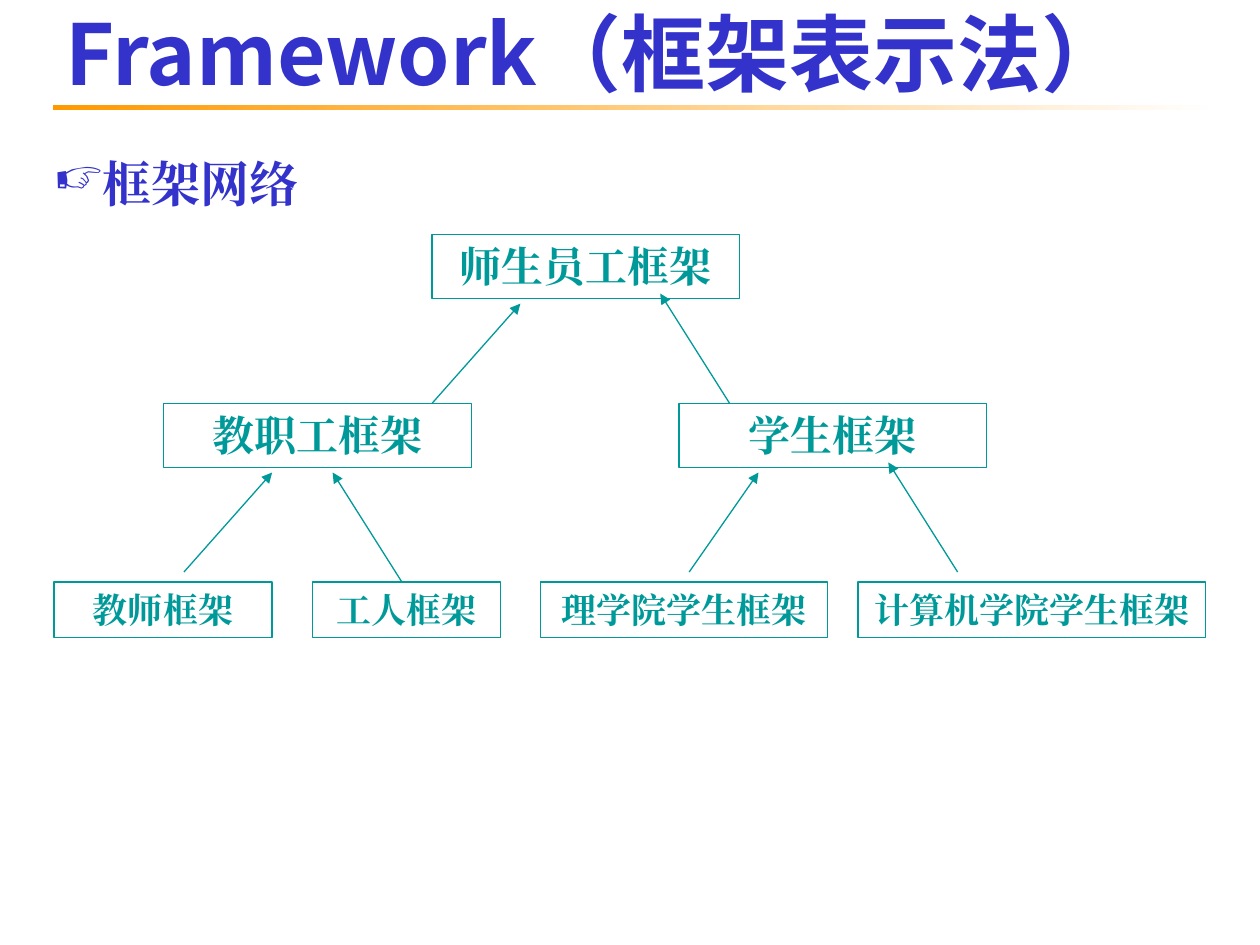
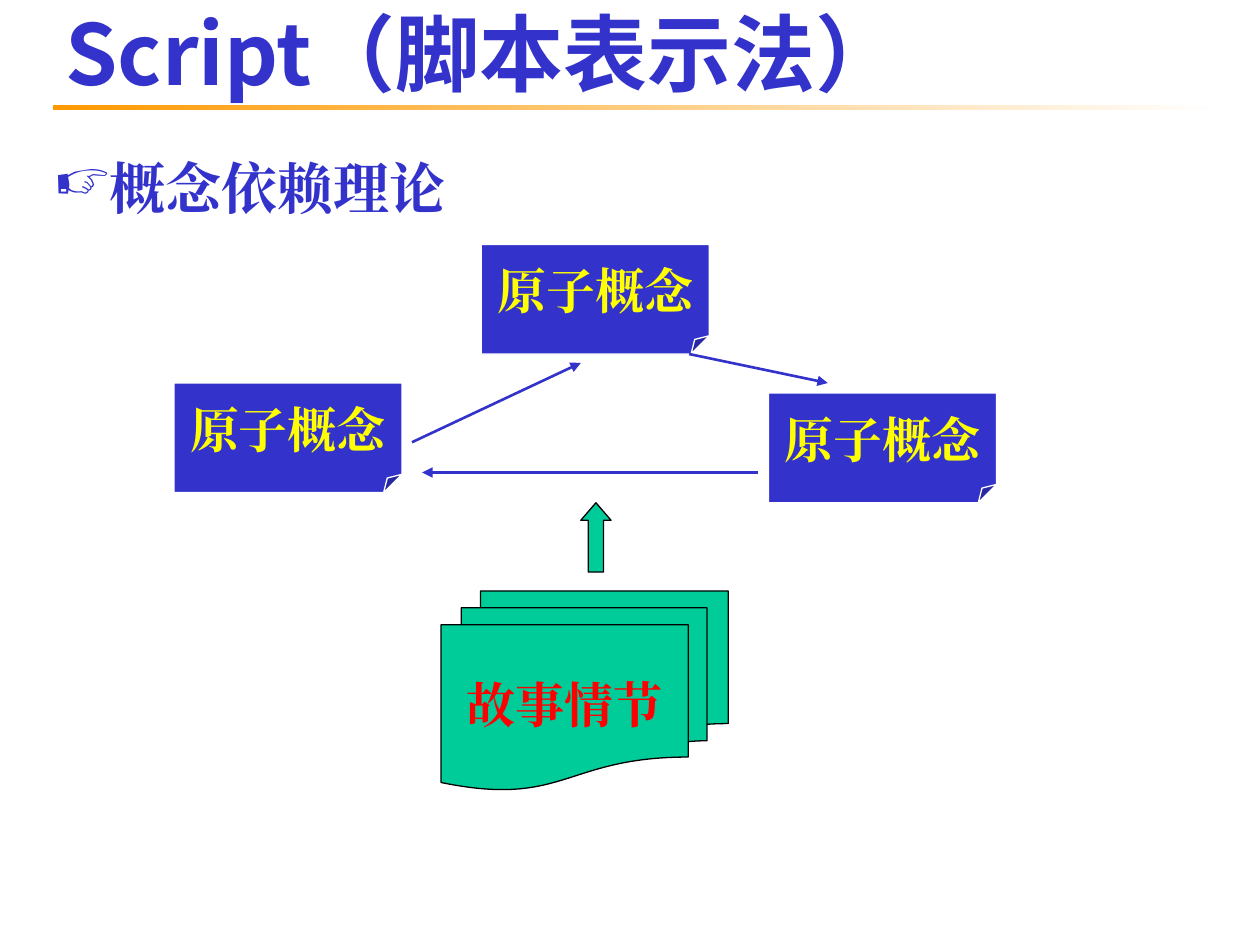
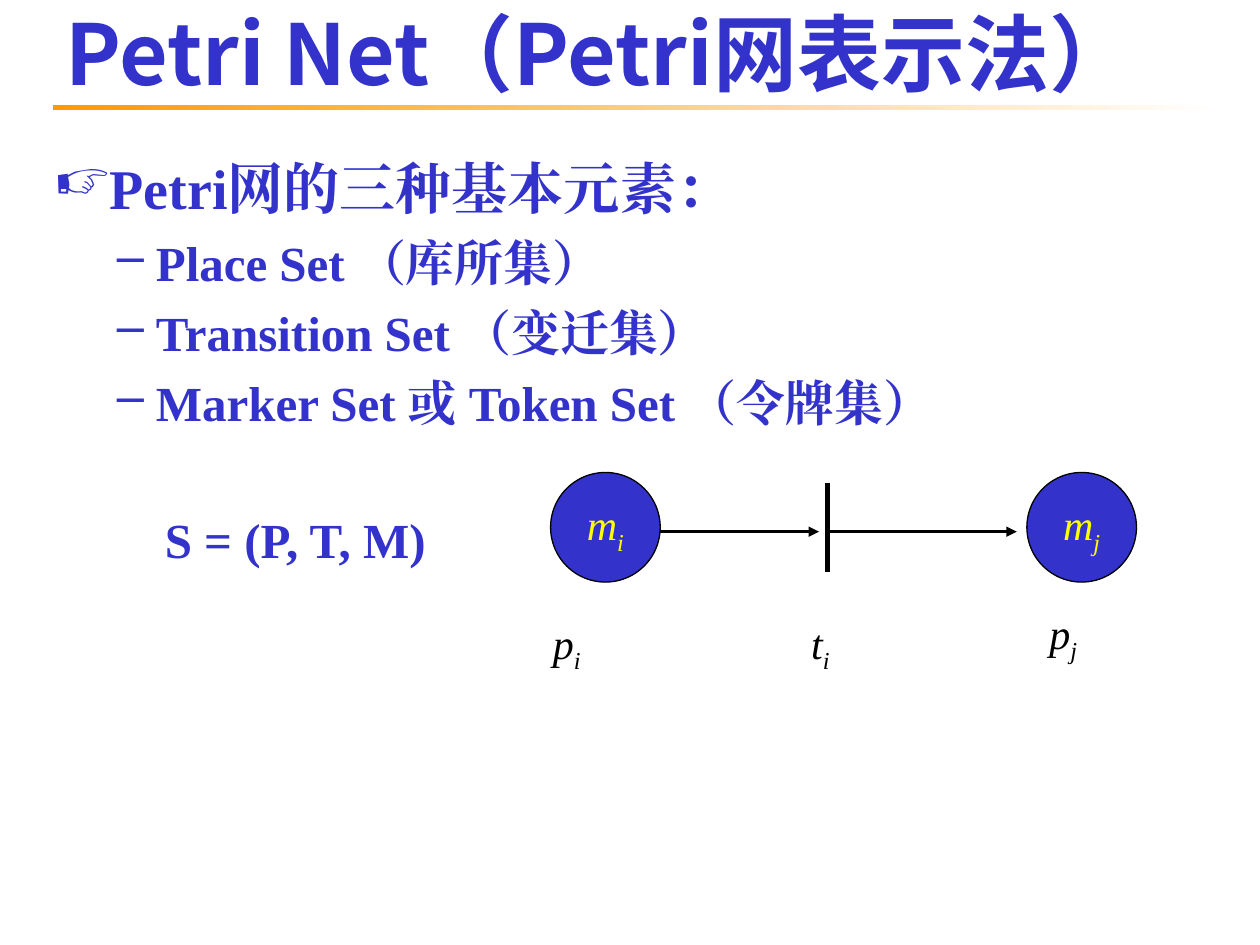
import pptx
import pptx.util
import pptx.dml.color
import pptx.enum.shapes
import pptx.enum.text
import pptx.oxml.ns
import lxml.etree

SCALE = 9144
HUES = {"blue": "3333CC", "teal": "009999", "green": "00CC99", "gold": "FF9900",
        "white": "FFFFFF", "black": "000000", "red": "FF0000", "yellow": "FFFF00"}
SERIF = "Times New Roman"
SANS = "Noto Sans CJK SC"
SHAPE = pptx.enum.shapes.MSO_SHAPE
ALIGN = pptx.enum.text.PP_ALIGN
ANCHOR = pptx.enum.text.MSO_ANCHOR


def px(*sizes):
    return [pptx.util.Emu(size * SCALE) for size in sizes]


def hue(name):
    return pptx.dml.color.RGBColor.from_string(HUES[name])


def child(node, tag, **attrs):
    return lxml.etree.SubElement(node, pptx.oxml.ns.qn(tag), **attrs)


class Deck:
    """Hold the shared style and the current slide."""

    def __init__(self):
        self.file = pptx.Presentation()
        self.file.slide_width, self.file.slide_height = px(1000, 750)
        self.slide = None

    def start(self, title):
        self.slide = self.file.slides.add_slide(self.file.slide_layouts[5])
        band = self.shape(SHAPE.RECTANGLE, (42, 83, 925, 4))
        band.fill.gradient()
        band.fill.gradient_angle = 0
        for stop, name in zip(band.fill.gradient_stops, ("gold", "white")):
            stop.color.rgb = hue(name)
        head = self.slide.shapes.title
        head.left, head.top, head.width, head.height = px(42, 0, 958, 83)
        frame = self.frame(head, ANCHOR.MIDDLE)
        self.text(frame.paragraphs[0], [title], 48, "blue", font=SANS)

    def frame(self, shape, anchor=ANCHOR.TOP, wrap=True):
        frame = shape.text_frame
        frame.auto_size = pptx.enum.text.MSO_AUTO_SIZE.NONE
        frame.word_wrap = wrap
        frame.vertical_anchor = anchor
        return frame

    def text(self, para, parts, size, color, align=ALIGN.LEFT, font=SERIF):
        para.alignment = align
        for rank, part in enumerate(parts):
            run = para.add_run()
            run.text = part
            run.font.size = pptx.util.Pt(size)
            run.font.bold = len(parts) == 1
            run.font.italic = len(parts) > 1
            run.font.color.rgb = hue(color)
            run.font.name = font
            props = run.font._element
            child(props, "a:ea", typeface=font)
            if rank:
                props.set("baseline", "-25000")

    def shape(self, kind, box, fill=None, line=None):
        shape = self.slide.shapes.add_shape(kind, *px(*box))
        shape.shadow.inherit = False
        if fill:
            shape.fill.solid()
            shape.fill.fore_color.rgb = hue(fill)
        else:
            shape.fill.background()
        if line:
            shape.line.color.rgb = hue(line)
            shape.line.width = pptx.util.Pt(0.75)
        else:
            shape.line.fill.background()
        return shape

    def node(self, kind, box, parts, size, color, fill=None, line=None):
        shape = self.shape(kind, box, fill, line)
        frame = self.frame(shape, ANCHOR.MIDDLE if fill else ANCHOR.TOP, not fill)
        self.text(frame.paragraphs[0], parts, size, color, ALIGN.CENTER)

    def label(self, left, top, parts):
        box = self.slide.shapes.add_textbox(*px(left, top, 94, 50))
        self.text(self.frame(box).paragraphs[0], parts, 24, "black")

    def body(self, rows):
        box = self.slide.shapes.add_textbox(*px(33, 117, 933, 608))
        frame = self.frame(box)
        for rank, (text, size, mark, left, hang, gap) in enumerate(rows):
            para = frame.add_paragraph() if rank else frame.paragraphs[0]
            props = para._p.get_or_add_pPr()
            props.set("marL", str(left * SCALE))
            props.set("indent", str(-hang * SCALE))
            if mark:
                child(props, "a:buChar", char=mark)
            if rank:
                para.space_before = pptx.util.Pt(gap)
            self.text(para, [text], size, "blue")

    def line(self, ends, color, width, arrow=True):
        kind = pptx.enum.shapes.MSO_CONNECTOR.STRAIGHT
        line = self.slide.shapes.add_connector(kind, *px(*ends))
        line.line.color.rgb = hue(color)
        line.line.width = pptx.util.Pt(width)
        props = line._element.spPr
        if arrow:
            child(props.find(pptx.oxml.ns.qn("a:ln")), "a:tailEnd", type="triangle")
        child(props, "a:effectLst")


def point(text, size):
    return text, size, "☞", 38, 38, 0


def frames(deck):
    deck.start("Framework（框架表示法）")
    deck.body([point("框架网络", 28)])
    tiers = [
        (186, 51, 24, [(343, 244, "师生员工框架")]),
        (320, 51, 24, [(130, 244, "教职工框架"), (539, 244, "学生框架")]),
        (462, 44, 20, [(43, 173, "教师框架"), (248, 149, "工人框架"),
                       (429, 228, "理学院学生框架"), (681, 276, "计算机学院学生框架")]),
    ]
    for top, high, size, nodes in tiers:
        for left, wide, text in nodes:
            deck.node(SHAPE.RECTANGLE, (left, top, wide, high), [text], size,
                      "teal", line="teal")
    for ends in [(146, 454, 216, 375), (319, 462, 264, 375), (760, 454, 705, 367),
                 (547, 454, 602, 375), (343, 320, 413, 241), (579, 320, 524, 233)]:
        deck.line(ends, "teal", 0.75)


def script(deck):
    deck.start("Script（脚本表示法）")
    deck.body([point("概念依赖理论", 32)])
    for left, top in [(138, 304), (382, 194), (610, 312)]:
        deck.node(SHAPE.FOLDED_CORNER, (left, top, 181, 87), ["原子概念"], 28,
                  "yellow", "blue", "white")
    deck.node(SHAPE.FLOWCHART_MULTIDOCUMENT, (350, 469, 228, 158), ["故事情节"], 28,
              "red", "green", "black")
    for ends in [(327, 351, 461, 288), (547, 281, 657, 304), (602, 375, 335, 375)]:
        deck.line(ends, "blue", 1.5)
    arrow = deck.shape(SHAPE.UP_ARROW, (461, 399, 24, 55), "green", "black")
    arrow.adjustments[1] = 0.58


def petri(deck):
    deck.start("Petri Net（Petri网表示法）")
    sets = ["Place Set （库所集）", "Transition Set （变迁集）",
            "Marker Set 或 Token Set （令牌集）"]
    deck.body([point("Petri网的三种基本元素：", 32)]
              + [(text, 28, "–", 81, 31, 6.4) for text in sets]
              + [("S = (P, T, M)", 28, None, 88, 0, 45)])
    for left, sub in [(437, "i"), (815, "j")]:
        deck.node(SHAPE.FLOWCHART_CONNECTOR, (left, 375, 87, 87), ["m", sub], 24,
                  "yellow", "blue", "black")
    deck.line((657, 383, 657, 454), "black", 3, arrow=False)
    for start, end in [(524, 650), (657, 807)]:
        deck.line((start, 422, end, 422), "black", 1.5)
    for left, top, *parts in [(429, 485, "p", "i"), (823, 477, "p", "j"),
                              (634, 485, "t", "i")]:
        deck.label(left, top, parts)


def main():
    deck = Deck()
    for build in (frames, script, petri):
        build(deck)
    deck.file.save("out.pptx")


if __name__ == "__main__":
    main()
